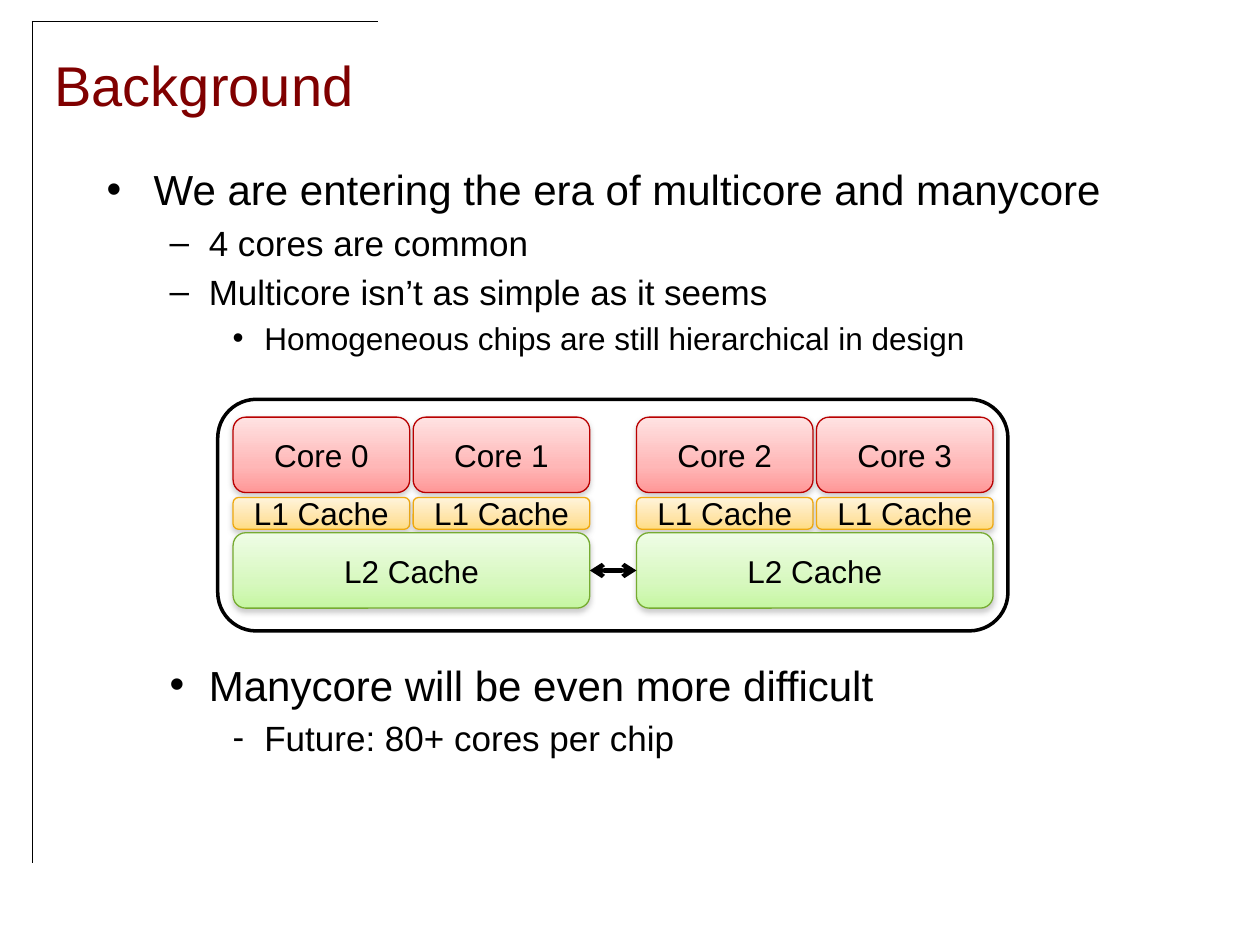
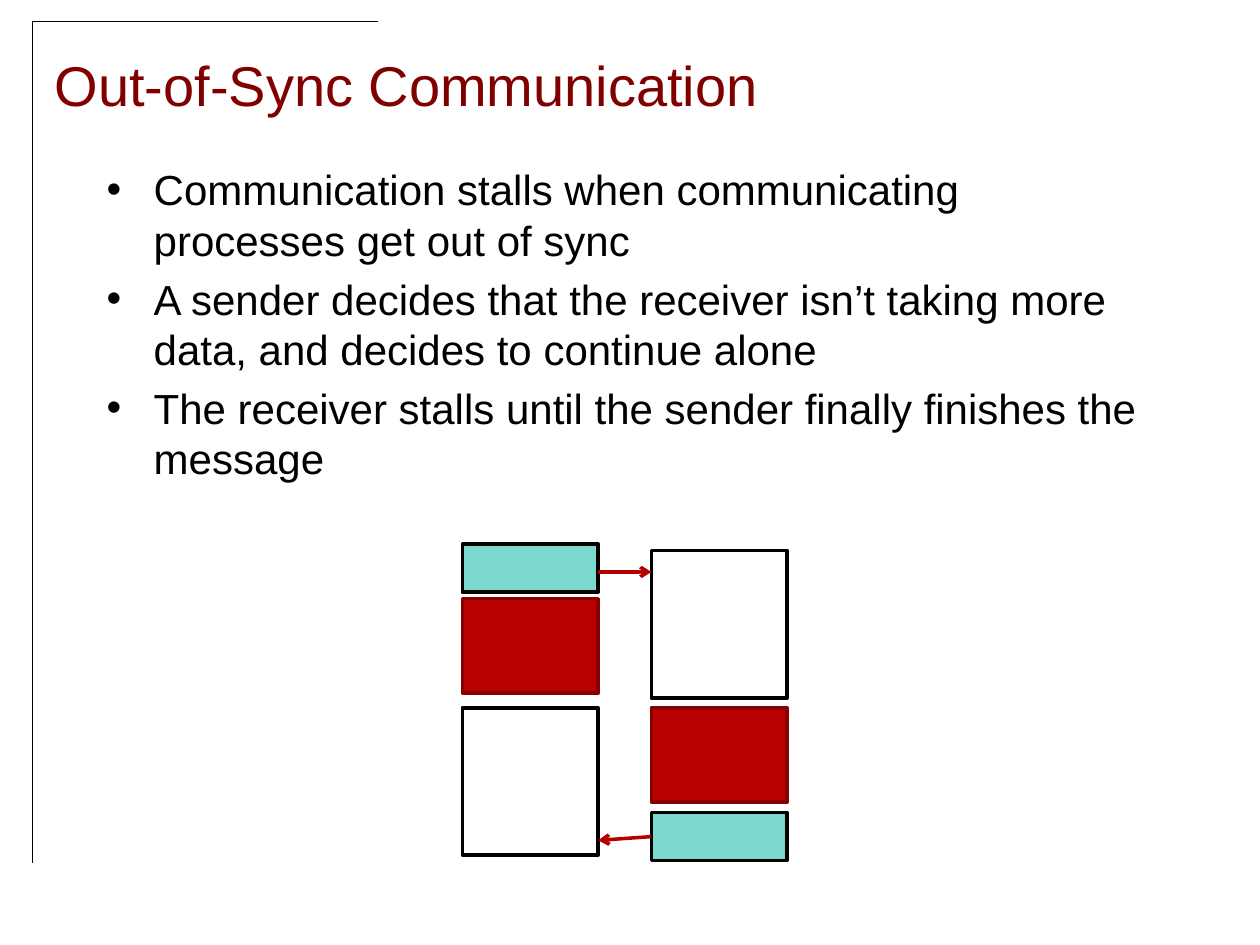
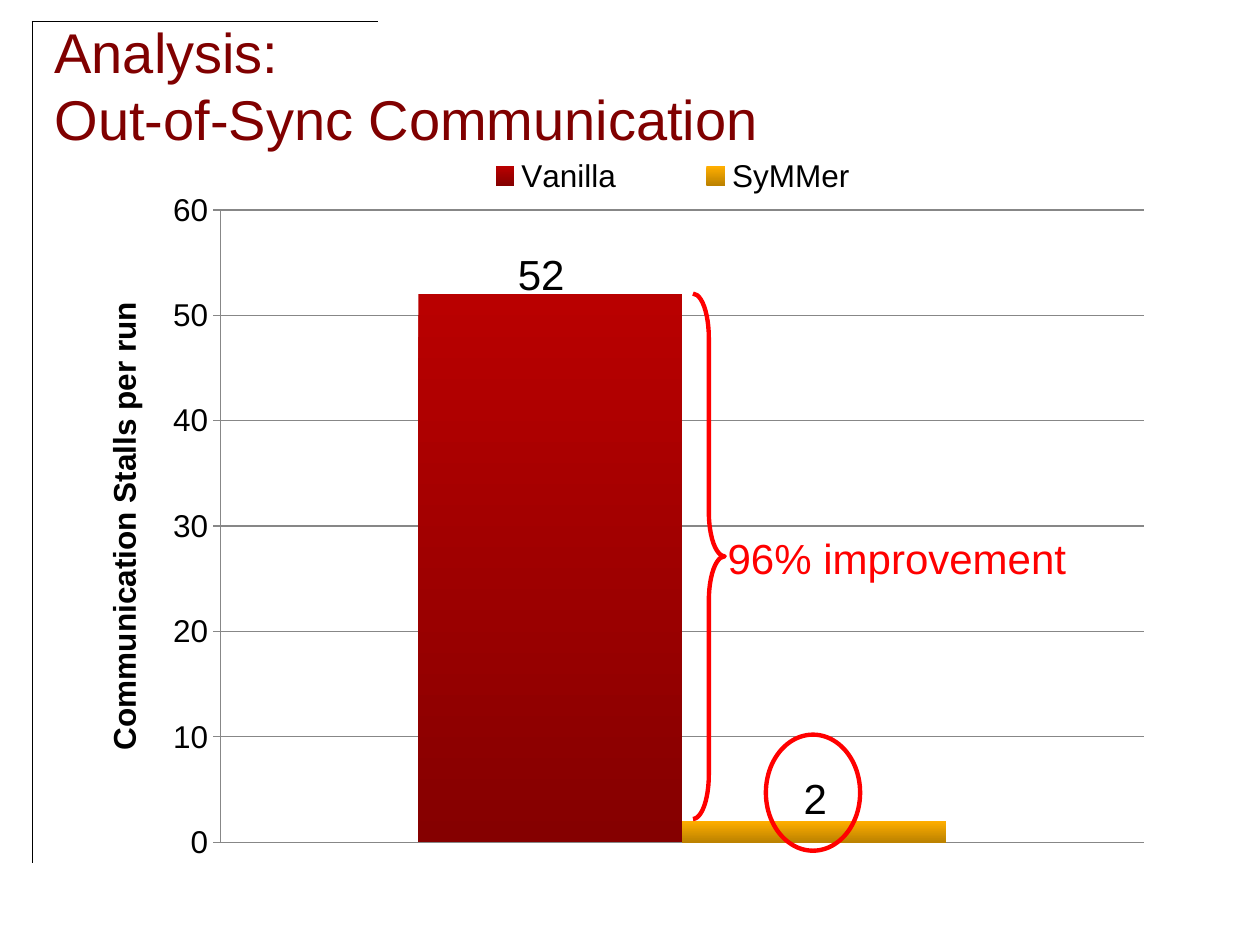
from copy import deepcopy

from lxml.etree import SubElement
from pptx import Presentation
from pptx.chart.data import CategoryChartData
from pptx.dml.color import RGBColor
from pptx.enum.chart import XL_CHART_TYPE, XL_LEGEND_POSITION, XL_TICK_MARK
from pptx.enum.shapes import MSO_CONNECTOR, MSO_SHAPE as Preset
from pptx.enum.text import MSO_ANCHOR as Anchor, PP_ALIGN as Align
from pptx.oxml.ns import qn
from pptx.util import Cm, Pt

FONT = "Arial"
BLACK, WHITE, RED, MAROON = "000000", "FFFFFF", "FF0000", "800000"
TEAL, CRIMSON, CRIMSON_EDGE, ARROW_RED = "7CD7CF", "B90000", "890000", "B50000"
GRID_GREY = "878787"

# Gradient stops and outline of each layer of the processor
CORE = ((0, "FFE2E2"), (0.65, "FFB7B7"), (1, "FF9797")), "B90000"
L1 = ((0, "FFF4DB"), (0.65, "FFE4A7"), (1, "FFDC81")), "EFA910"
L2 = ((0, "EFFDE6"), (0.65, "D7F8BF"), (1, "C6F7A2")), "76AB31"

BULLET_INDENTS = [(0.95, -0.95), (2.06, -0.79), (3.18, -0.64)]


def color(hex_code):
    return RGBColor.from_string(hex_code)


def apply(target, formats):
    for name, value in formats.items():
        setattr(target, name, value)


def style_font(font, size, hex_code=BLACK, bold=False):
    apply(font, {"name": FONT, "size": Pt(size), "bold": bold})
    font.color.rgb = color(hex_code)


def write(paragraph, text, size, hex_code=BLACK):
    paragraph.text = text
    for run in paragraph.runs:
        style_font(run.font, size, hex_code)


def paint_gradient(fill, owner, stops):
    """Fill from top to bottom with two or three (position, colour) stops."""
    fill.gradient()
    fill.gradient_angle = 270
    stop_list = next(owner.iter(qn("a:gsLst")))
    if len(stops) > 2:
        stop_list.insert(1, deepcopy(stop_list[0]))
    for stop, (position, hex_code) in zip(fill.gradient_stops, stops):
        stop.position = position
        stop.color.rgb = color(hex_code)


def add_text(slide, box, text, size, hex_code=BLACK, wrap=False, anchor=Anchor.TOP):
    frame = slide.shapes.add_textbox(*map(Cm, box)).text_frame
    apply(frame, {"word_wrap": wrap, "vertical_anchor": anchor})
    write(frame.paragraphs[0], text, size, hex_code)


def add_outline(shapes, preset, box, outline, width, fill=None):
    shape = shapes.add_shape(preset, *map(Cm, box))
    shape.shadow.inherit = False
    if fill:
        shape.fill.solid()
        shape.fill.fore_color.rgb = color(fill)
    else:
        shape.fill.background()
    shape.line.color.rgb = color(outline)
    shape.line.width = Pt(width)
    return shape


def add_chip_part(shapes, box, label, look):
    """Add a labelled rounded block with a gradient and a soft shadow."""
    stops, outline = look
    part = add_outline(shapes, Preset.ROUNDED_RECTANGLE, box, outline, 0.75)
    paint_gradient(part.fill, part._element, stops)
    effects = part._element.spPr.find(qn("a:effectLst"))
    shadow = SubElement(effects, qn("a:outerShdw"), blurRad="40000",
                        dist="20000", dir="5400000", rotWithShape="0")
    tint = SubElement(shadow, qn("a:srgbClr"), val="808080")
    SubElement(tint, qn("a:alpha"), val="38000")
    part.text_frame.vertical_anchor = Anchor.MIDDLE
    paragraph = part.text_frame.paragraphs[0]
    write(paragraph, label, 18)
    paragraph.alignment = Align.CENTER
    return part


def add_line(shapes, start, end, hex_code, width, arrow_ends=()):
    line = shapes.add_connector(MSO_CONNECTOR.STRAIGHT, *map(Cm, start + end))
    line.line.color.rgb = color(hex_code)
    line.line.width = Pt(width)
    properties = line._element.spPr
    for end_tag in arrow_ends:
        SubElement(properties.find(qn("a:ln")), qn(end_tag), type="arrow")
    SubElement(properties, qn("a:effectLst"))
    return line


def add_titled_slide(deck, title):
    slide = deck.slides.add_slide(deck.slide_layouts[6])
    corner, joint = (0.64, 0.42), (0.64, 1.9)
    for start, end in ((corner, joint), (corner, (7.62, 0.42)), (joint, (0.64, 17.4))):
        add_line(slide.shapes, start, end, BLACK, 0.25)
    add_text(slide, (0.85, 0.64, 24.34, 2.12), title, 32, MAROON, True, Anchor.MIDDLE)
    return slide


def add_bullets(slide, items):
    """Add (level, mark, size, text, space before) items as one list."""
    frame = slide.shapes.add_textbox(*map(Cm, (1.9, 3.18, 21.59, 14.4))).text_frame
    frame.word_wrap = True
    for index, (level, mark, size, text, space) in enumerate(items):
        paragraph = frame.add_paragraph() if index else frame.paragraphs[0]
        margin, indent = BULLET_INDENTS[level]
        properties = paragraph._p.get_or_add_pPr()
        properties.set("marL", str(Cm(margin)))
        properties.set("indent", str(Cm(indent)))
        paragraph.level = level
        paragraph.space_before = Pt(space)
        SubElement(properties, qn("a:buFont"), typeface=FONT)
        SubElement(properties, qn("a:buChar"), char=mark)
        write(paragraph, text, size)


def add_processor(slide):
    chip = slide.shapes.add_group_shape().shapes
    add_outline(chip, Preset.ROUNDED_RECTANGLE, (4.39, 8.05, 15.93, 4.67),
                BLACK, 2, WHITE)
    core_width, core_pitch, pair_pitch = 3.56, 3.63, 8.13
    shared_caches = []
    for pair in range(2):
        pair_left = 4.7 + pair * pair_pitch
        for side in range(2):
            left = pair_left + side * core_pitch
            add_chip_part(chip, (left, 8.41, core_width, 1.52),
                          f"Core {2 * pair + side}", CORE)
            add_chip_part(chip, (left, 10.03, core_width, 0.64), "L1 Cache", L1)
        shared_caches.append(add_chip_part(
            chip, (pair_left, 10.74, core_pitch + core_width, 1.52), "L2 Cache", L2))
    link = add_line(chip, (11.89, 11.5), (12.83, 11.5), BLACK, 2.5,
                    ("a:headEnd", "a:tailEnd"))
    link.begin_connect(shared_caches[0], 3)
    link.end_connect(shared_caches[1], 1)


def add_message_exchange(slide):
    left, right, width = 9.32, 13.13, 2.74
    message = {"height": 0.97, "fill": TEAL, "outline": BLACK}
    stall = {"height": 1.9, "fill": CRIMSON, "outline": CRIMSON_EDGE}
    work = {"height": 2.97, "fill": None, "outline": BLACK}
    for column, top, phase in ((left, 10.97, message), (right, 11.1, work),
                               (left, 12.07, stall), (left, 14.27, work),
                               (right, 14.27, stall), (right, 16.38, message)):
        last_phase = add_outline(slide.shapes, Preset.RECTANGLE,
                                 (column, top, width, phase["height"]),
                                 phase["outline"], 2, phase["fill"])
    add_line(slide.shapes, (left + width, 11.53), (right, 11.53),
             ARROW_RED, 2, ("a:tailEnd",))
    reply = add_line(slide.shapes, (right, 16.87), (left + width, 16.94),
                     ARROW_RED, 2, ("a:tailEnd",))
    reply.begin_connect(last_phase, 1)


def set_chart_layout(owner, fractions, inner=False):
    """Place a chart part by left, top, width and height fractions."""
    for old in owner.findall(qn("c:layout")):
        owner.remove(old)
    layout = SubElement(owner, qn("c:layout"))
    manual = SubElement(layout, qn("c:manualLayout"))
    if inner:
        SubElement(manual, qn("c:layoutTarget"), val="inner")
    for tag in ("c:xMode", "c:yMode"):
        SubElement(manual, qn(tag), val="edge")
    for tag, fraction in zip(("c:x", "c:y", "c:w", "c:h"), fractions):
        SubElement(manual, qn(tag), val=str(fraction))
    owner.insert(0 if inner else 1, layout)


def add_stall_chart(slide):
    data = CategoryChartData()
    data.categories = ["1"]
    data.add_series("Vanilla", [52])
    data.add_series("SyMMer", [2])
    chart = slide.shapes.add_chart(XL_CHART_TYPE.COLUMN_CLUSTERED,
                                   *map(Cm, (1.9, 2.97, 21.59, 14.4)), data).chart
    style_font(chart.font, 18)
    apply(chart, {"has_title": False, "has_legend": True})
    apply(chart.legend, {"position": XL_LEGEND_POSITION.RIGHT, "include_in_layout": False})
    style_font(chart.legend.font, 18)
    set_chart_layout(chart.legend._element, (0.3, 0.01, 0.48, 0.06))
    set_chart_layout(next(chart._chartSpace.iter(qn("c:plotArea"))),
                     (0.118, 0.088, 0.862, 0.885), inner=True)

    plot = chart.plots[0]
    apply(plot, {"gap_width": 150, "overlap": 0, "vary_by_categories": False})
    for series, ends in zip(plot.series, (("B90000", "850000"), ("FFAE00", "BC8200"))):
        fill = series.format.fill
        paint_gradient(fill, series._element, tuple(enumerate(ends)))

    chart.category_axis.visible = False
    stalls = chart.value_axis
    apply(stalls, {"minimum_scale": 0, "maximum_scale": 60, "major_unit": 10,
                   "major_tick_mark": XL_TICK_MARK.OUTSIDE,
                   "has_major_gridlines": True})
    style_font(stalls.tick_labels.font, 18)
    for line in (stalls.format.line, stalls.major_gridlines.format.line):
        line.color.rgb = color(GRID_GREY)
        line.width = Pt(0.75)
    title = stalls.axis_title
    title.text_frame.text = "Communication Stalls per run"
    style_font(title.text_frame.paragraphs[0].runs[0].font, 18, bold=True)
    body = next(title._element.iter(qn("a:bodyPr")))
    body.set("rot", "-5400000")
    body.set("vert", "horz")


def add_chart_notes(slide):
    add_text(slide, (10.19, 4.88, 1.45, 1.27), "52", 24)
    add_text(slide, (15.95, 15.44, 0.99, 1.27), "2", 24)
    add_outline(slide.shapes, Preset.OVAL, (15.44, 14.81, 1.9, 2.34), RED, 2.5)
    drop = add_outline(slide.shapes, Preset.RIGHT_BRACE,
                       (13.97, 5.92, 0.64, 10.59), RED, 2.5)
    drop.adjustments[0] = 1.39
    add_text(slide, (14.42, 10.64, 7.4, 1.2), "96% improvement", 24, RED,
             anchor=Anchor.MIDDLE)


def main():
    deck = Presentation()
    apply(deck, {"slide_width": Cm(25.4), "slide_height": Cm(19.05)})

    background = add_titled_slide(deck, "Background")
    add_bullets(background, [
        (0, "•", 24, "We are entering the era of multicore and manycore", 0),
        (1, "–", 20, "4 cores are common", 4),
        (1, "–", 20, "Multicore isn’t as simple as it seems", 4),
        (2, "•", 18, "Homogeneous chips are still hierarchical in design", 3.6),
        (1, "•", 24, "Manycore will be even more difficult", 173),
        (2, "-", 20, "Future: 80+ cores per chip", 4),
    ])
    add_processor(background)

    out_of_sync = add_titled_slide(deck, "Out-of-Sync Communication")
    causes = ["Communication stalls when communicating processes get out of sync",
              "A sender decides that the receiver isn’t taking more data, "
              "and decides to continue alone",
              "The receiver stalls until the sender finally finishes the message"]
    add_bullets(out_of_sync, [(0, "•", 24, cause, 4.8 if index else 0)
                              for index, cause in enumerate(causes)])
    add_message_exchange(out_of_sync)

    analysis = add_titled_slide(deck, "Analysis:\vOut-of-Sync Communication")
    add_stall_chart(analysis)
    add_chart_notes(analysis)

    deck.save("out.pptx")


if __name__ == "__main__":
    main()
